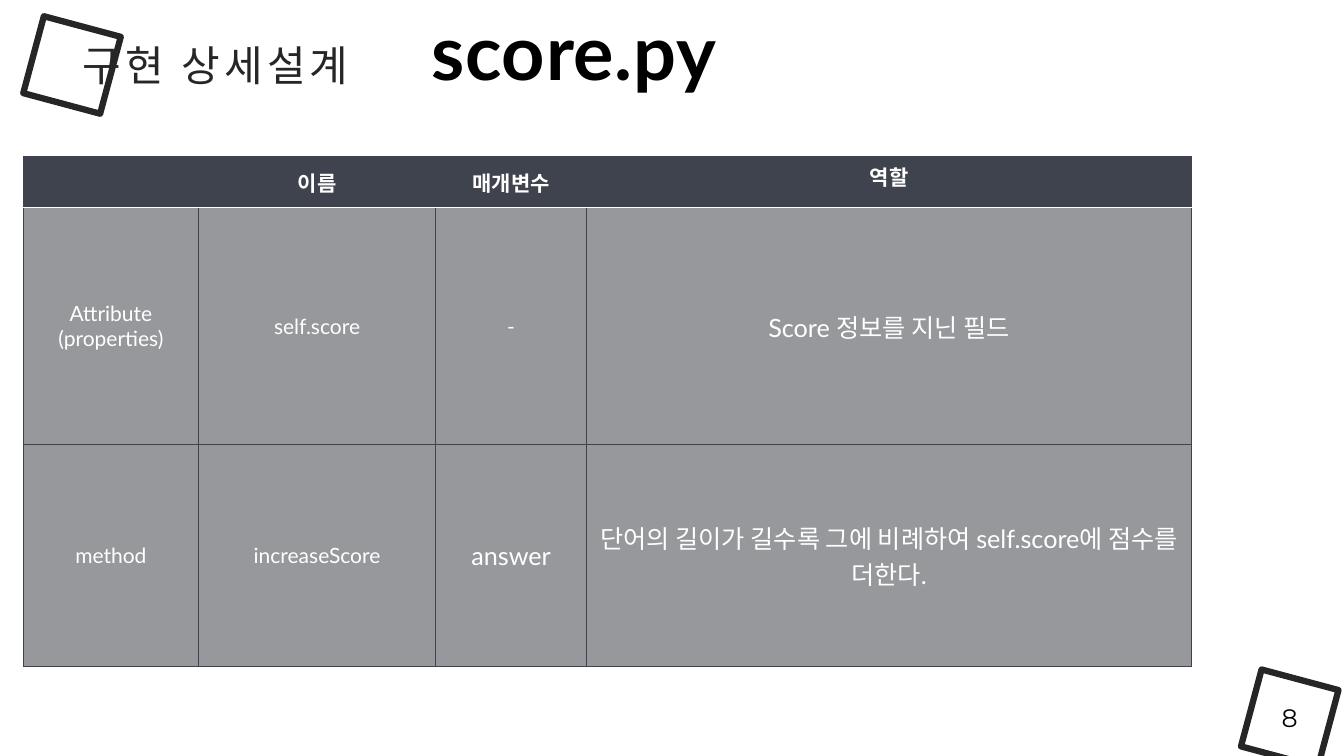
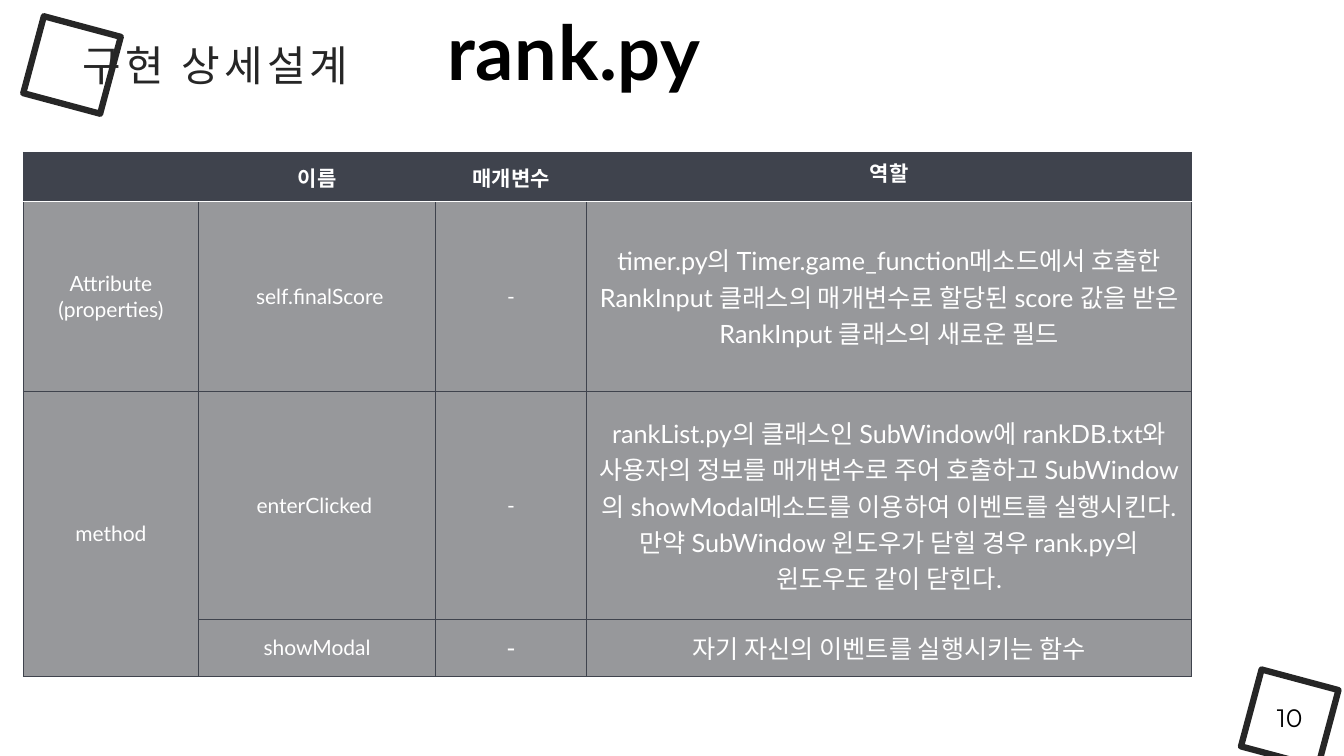
from lxml import etree
from pptx import Presentation
from pptx.dml.color import RGBColor
from pptx.enum import shapes, text
from pptx.oxml import ns
from pptx.util import Pt

INK, BLACK, WHITE = "262626", "000000", "FFFFFF"
HEADER, BODY = "3F434D", "97989B"
HEADING_FONT, TEXT_FONT = "Montserrat", "Lato"
FRAME_SIZE = 56.9
COLUMN_WIDTHS = [125.3, 169.2, 108, 432]
COLUMN_SIZES = [15, 15, 15, 18]
COLUMN_HEADS = ["", "이름", "매개변수", "역할"]
TABLE_LEFT = 16.6


def color(value):
    return RGBColor.from_string(value)


def write(frame, content, size=15, font=TEXT_FONT, ink=WHITE, bold=False, spacing=0):
    """Fill a text frame with centred text, one paragraph per line."""
    frame.text = content
    for paragraph in frame.paragraphs:
        paragraph.alignment = text.PP_ALIGN.CENTER
        for run in paragraph.runs:
            run.font.size = Pt(size)
            run.font.name = font
            run.font.bold = bold
            run.font.color.rgb = color(ink)
            if spacing:
                run.font._element.set("spc", str(int(spacing * 100)))


def place(shape, left, top, width, height):
    shape.left, shape.top = Pt(left), Pt(top)
    shape.width, shape.height = Pt(width), Pt(height)


def add_label(slide, box, content, **style):
    label = slide.shapes.add_textbox(*map(Pt, box))
    label.text_frame.word_wrap = False
    write(label.text_frame, content, **style)


def add_frame(slide, left, top):
    """Tilted square outline."""
    frame = slide.shapes.add_shape(
        shapes.MSO_SHAPE.RECTANGLE, Pt(left), Pt(top), Pt(FRAME_SIZE), Pt(FRAME_SIZE))
    frame.rotation = 15
    frame.shadow.inherit = False
    frame.fill.background()
    frame.line.color.rgb = color(INK)
    frame.line.width = Pt(4.5)


def add_heading(slide, box, file_name):
    left, top, width, height = box
    # Section name with its frame
    add_label(slide, (left + 18.8, top + 24.5, 224.6, 43.9), "구현 상세설계",
              size=30, font=HEADING_FONT, ink=INK, spacing=3)
    add_frame(slide, left, top + 18)
    # File name
    title = slide.shapes.title
    place(title, left + 262, top, width - 262, height)
    title.text_frame.word_wrap = False
    title.text_frame.auto_size = text.MSO_AUTO_SIZE.NONE
    title.text_frame.vertical_anchor = text.MSO_ANCHOR.TOP
    write(title.text_frame, file_name, size=54, ink=BLACK, bold=True, spacing=0.5)


def add_page_number(slide, left, top, number):
    add_label(slide, (left + 9.35, top + 13.6, 38.2, 28.8), str(number),
              size=18, font=HEADING_FONT, ink=BLACK)
    add_frame(slide, left, top)


def set_border(cell, side, ink, width):
    line = etree.SubElement(cell._tc.get_or_add_tcPr(), ns.qn(f"a:ln{side}"),
                            w=str(Pt(width)))
    fill = etree.SubElement(line, ns.qn("a:solidFill"))
    etree.SubElement(fill, ns.qn("a:srgbClr"), val=ink)


def format_cell(cell, row):
    white_sides = {0: "B", 1: "T"}
    for side in "LRTB":
        if white_sides.get(row) == side:
            set_border(cell, side, WHITE, 1)
        else:
            set_border(cell, side, HEADER, 0.5)
    cell.fill.solid()
    cell.fill.fore_color.rgb = color(BODY if row else HEADER)
    cell.vertical_anchor = text.MSO_ANCHOR.MIDDLE


def add_member_table(slide, top, row_heights, members):
    """Members are rows of texts; a (text, size) pair overrides the column size,
    and None joins a cell to the one above."""
    rows = [COLUMN_HEADS] + members
    table = slide.shapes.add_table(
        len(rows), len(COLUMN_WIDTHS), Pt(TABLE_LEFT), Pt(top),
        Pt(sum(COLUMN_WIDTHS)), Pt(sum(row_heights))).table
    table.horz_banding = False
    for column, width in zip(table.columns, COLUMN_WIDTHS):
        column.width = Pt(width)
    for table_row, height in zip(table.rows, row_heights):
        table_row.height = Pt(height)
    for r, row in enumerate(rows):
        for c, entry in enumerate(row):
            cell = table.cell(r, c)
            format_cell(cell, r)
            if entry is None:
                table.cell(r - 1, c).merge(cell)
                continue
            size = COLUMN_SIZES[c] if r else 15
            content, size = entry if isinstance(entry, tuple) else (entry, size)
            write(cell.text_frame, content, size=size, bold=r == 0)
    # The role heading sits at the top of its cell
    table.cell(0, len(COLUMN_HEADS) - 1).vertical_anchor = text.MSO_ANCHOR.TOP


def add_module_slide(presentation, file_name, number, top, row_heights, members):
    slide = presentation.slides.add_slide(presentation.slide_layouts[5])
    add_page_number(slide, 892.8, 484.6, number)
    add_heading(slide, (23, 0, 512, 72.7), file_name)
    add_member_table(slide, top, row_heights, members)


presentation = Presentation()
presentation.slide_width, presentation.slide_height = Pt(960), Pt(540)

ATTRIBUTE = "Attribute\n(properties)"

add_module_slide(presentation, "score.py", 8, 111.6, [36.7, 169.2, 158.4], [
    [ATTRIBUTE, "self.score", "-", "Score 정보를 지닌 필드"],
    ["method", "increaseScore", ("answer", 18),
     "단어의 길이가 길수록 그에 비례하여 self.score에 점수를 더한다."],
])

add_module_slide(presentation, "rank.py", 10, 108.7, [35.3, 135.4, 162.7, 41], [
    [ATTRIBUTE, " self.finalScore", "-",
     "timer.py의 Timer.game_function메소드에서 호출한 RankInput 클래스의 "
     "매개변수로 할당된 score 값을 받은 RankInput 클래스의 새로운 필드"],
    ["method", "enterClicked ", "-",
     "rankList.py의 클래스인 SubWindow에 rankDB.txt와 사용자의 정보를 매개변수로 "
     "주어 호출하고 SubWindow의 showModal메소드를 이용하여 이벤트를 실행시킨다. "
     "만약 SubWindow 윈도우가 닫힐 경우 rank.py의 윈도우도 같이 닫힌다."],
    [None, "showModal", ("-", 18), "자기 자신의 이벤트를 실행시키는 함수"],
])

presentation.save("out.pptx")
